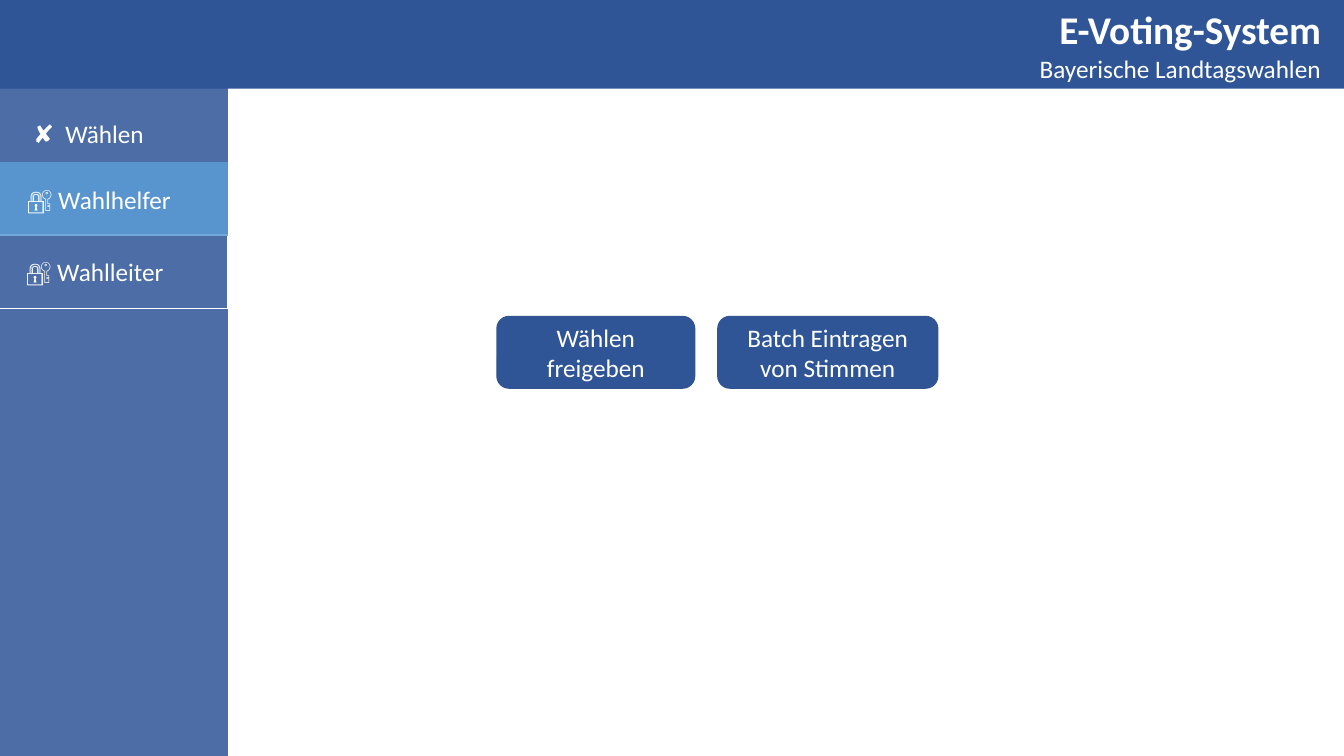
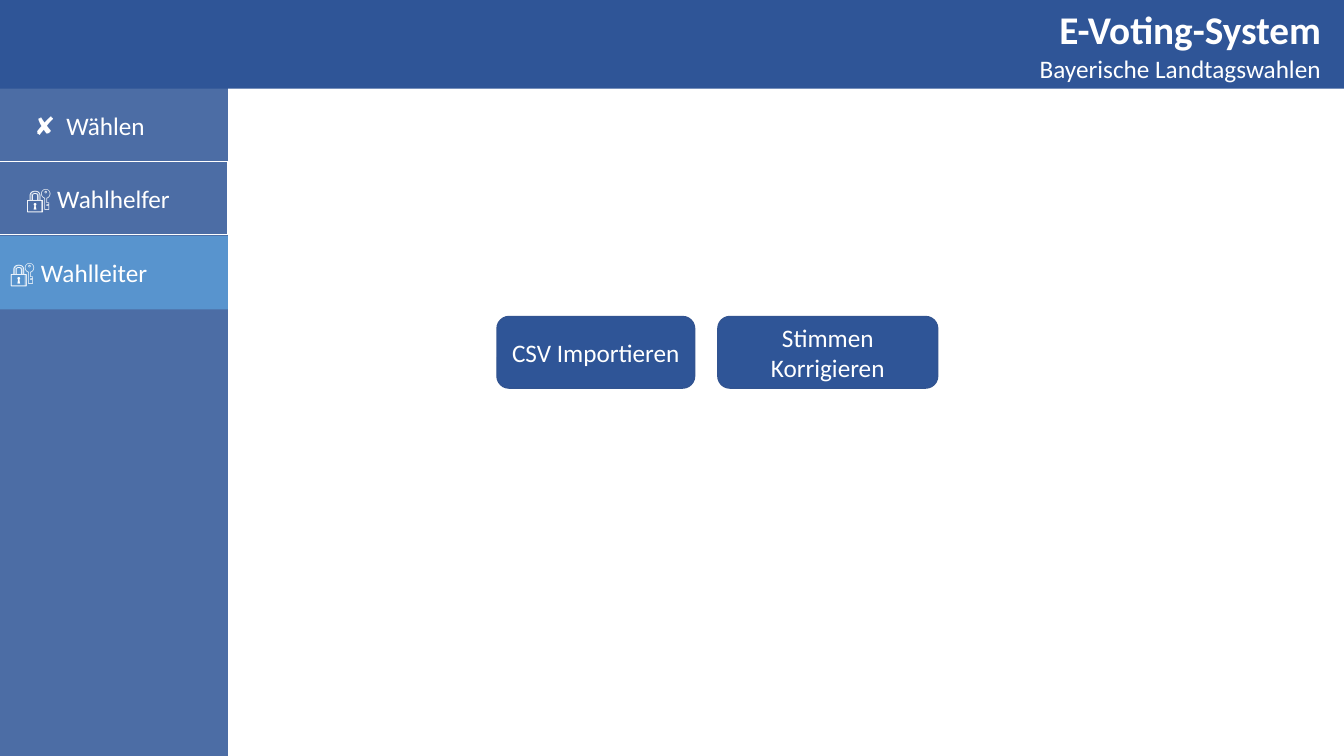
from dataclasses import dataclass

import lxml.etree
import pptx
import pptx.dml.color
import pptx.enum.shapes
import pptx.enum.text
import pptx.oxml.ns
import pptx.util

Inch = pptx.util.Inches
Kind = pptx.enum.shapes.MSO_SHAPE
Align = pptx.enum.text.PP_ALIGN
Anchor = pptx.enum.text.MSO_ANCHOR
qn = pptx.oxml.ns.qn

# Shared look
WIDE, HIGH = 13.33, 7.5
BAND, SIDE, ROW = 0.88, 2.26, 0.73   # header height, menu width, row height
NAVY, EDGE, IDLE, LIVE, WHITE = "2F5597", "325491", "4C6DA6", "5B9BD5", "FFFFFF"
ALPHA = 86
PAD, INDENT = 0.1, 0.27
FONT, SIZE = "Calibri", 18


@dataclass
class Run:
    text: str
    font: str = FONT
    size: int = SIZE
    bold: bool = False


@dataclass
class Box:
    left: float
    top: float
    width: float
    height: float


@dataclass
class Entry:
    label: str
    row: int
    live: bool = False
    indent: float = INDENT


@dataclass
class Page:
    vote: Box
    menu: list[Entry]   # from back to front
    buttons: list[str]


SLOTS = [Box(4.93, 3.14, 1.96, 0.71), Box(7.12, 3.14, 2.18, 0.71)]
PAGES = [
    Page(Box(0.23, 1.12, 1.75, 0.4),
         [Entry("🔐 Wahlleiter", 2), Entry("🔐 Wahlhelfer", 1, live=True)],
         ["Wählen freigeben", "Batch Eintragen von Stimmen"]),
    Page(Box(0.24, 1.05, 1.44, 0.4),
         [Entry("🔐 Wahlhelfer", 1), Entry("🔐 Wahlleiter", 2, live=True, indent=PAD)],
         ["CSV Importieren", "Stimmen Korrigieren"]),
]


def tint(code: str):
    return pptx.dml.color.RGBColor.from_string(code)


def place(shape, box: Box) -> None:
    shape.left, shape.top = Inch(box.left), Inch(box.top)
    shape.width, shape.height = Inch(box.width), Inch(box.height)


def write(shape, runs: list[Run], align=Align.LEFT, anchor=Anchor.MIDDLE,
          left: float = PAD, top: float = 0.05):
    """Fill a shape's first paragraph run by run."""
    frame = shape.text_frame
    frame.word_wrap = True
    frame.auto_size = pptx.enum.text.MSO_AUTO_SIZE.NONE
    frame.vertical_anchor = anchor
    frame.margin_left, frame.margin_right = Inch(left), Inch(PAD)
    frame.margin_top, frame.margin_bottom = Inch(top), 0 if top == 0 else Inch(0.05)
    para = frame.paragraphs[0]
    para.alignment = align
    para.line_spacing = 1.0
    para.space_before = pptx.util.Pt(0)
    for item in runs:
        run = para.add_run()
        run.text = item.text
        run.font.name, run.font.bold = item.font, item.bold
        run.font.size = pptx.util.Pt(item.size)
        run.font.color.rgb = tint(WHITE)
    return para


def block(slide, box: Box, fill: str, line: str = "", alpha: int = 100,
          kind=Kind.RECTANGLE):
    shape = slide.shapes.add_shape(kind, 0, 0, 0, 0)
    place(shape, box)
    shape.shadow.inherit = False
    shape.fill.solid()
    shape.fill.fore_color.rgb = tint(fill)
    if alpha < 100:
        color = shape.fill._xPr.find(qn("a:solidFill"))[0]
        lxml.etree.SubElement(color, qn("a:alpha"), val=str(alpha * 1000))
    if line:
        shape.line.color.rgb = tint(line)
        shape.line.width = pptx.util.Pt(1)
    else:
        shape.line.fill.background()
    return shape


def frame(slide) -> None:
    """Sidebar, header band and the two heading placeholders."""
    block(slide, Box(0, 0, SIDE, HIGH), NAVY, alpha=ALPHA)
    block(slide, Box(0, 0, WIDE, BAND), NAVY)
    title, sub = slide.shapes.title, slide.placeholders[1]
    for shape in (title, sub):   # bring in front of the band
        slide.shapes.element.append(shape.element)
    place(title, Box(9.12, 0, 4.08, 0.53))
    write(title, [Run("E-Voting-System", size=28, bold=True)],
          Align.RIGHT, Anchor.TOP)
    place(sub, Box(9.12, 0.53, 4.08, 0.35))
    write(sub, [Run("Bayerische Landtagswahlen")],
          Align.RIGHT, Anchor.TOP, top=0)


def entry(slide, item: Entry) -> None:
    shift = 0 if item.live else 0.01   # outlined rows overlap their neighbours
    box = Box(-shift, BAND + item.row * ROW - shift, SIDE + shift, ROW)
    shape = block(slide, box, LIVE if item.live else IDLE,
                  "" if item.live else WHITE, ALPHA)
    write(shape, [Run(item.label)], left=item.indent)


def vote(slide, box: Box) -> None:
    shape = slide.shapes.add_textbox(0, 0, 0, 0)
    place(shape, box)
    para = write(shape, [Run("✘", font="Roboto"), Run("\tWählen")],
                 anchor=Anchor.TOP)
    tabs = lxml.etree.SubElement(para._p.get_or_add_pPr(), qn("a:tabLst"))
    lxml.etree.SubElement(tabs, qn("a:tab"), pos=str(Inch(0.32)), algn="l")


def button(slide, box: Box, label: str) -> None:
    shape = block(slide, box, NAVY, EDGE, kind=Kind.ROUNDED_RECTANGLE)
    write(shape, [Run(label)], Align.CENTER)


def main() -> None:
    deck = pptx.Presentation()
    deck.slide_width, deck.slide_height = Inch(WIDE), Inch(HIGH)
    for page in PAGES:
        slide = deck.slides.add_slide(deck.slide_layouts[0])
        frame(slide)
        for item in page.menu:
            entry(slide, item)
        vote(slide, page.vote)
        for box, label in zip(SLOTS, page.buttons):
            button(slide, box, label)
    deck.save("out.pptx")


if __name__ == "__main__":
    main()
